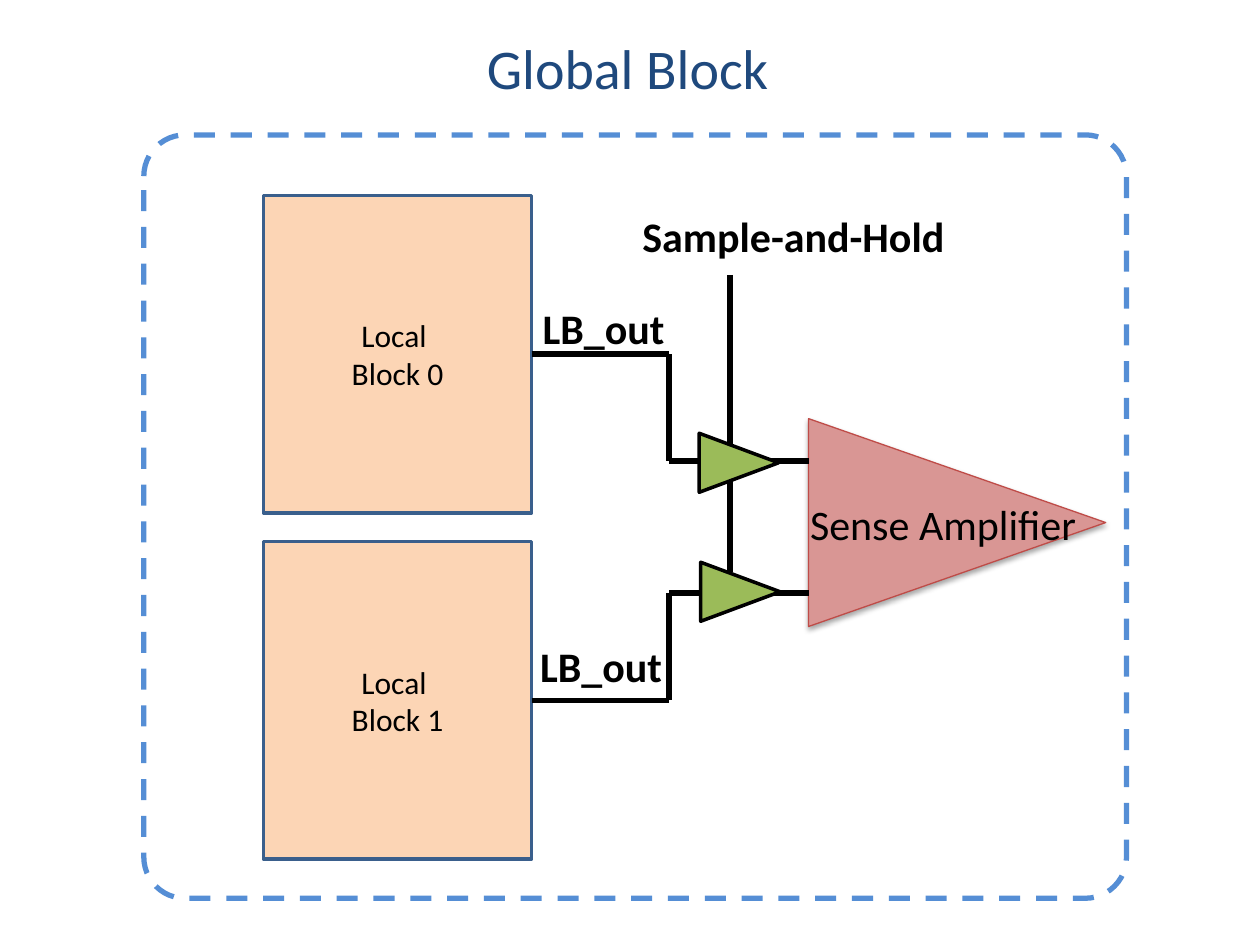
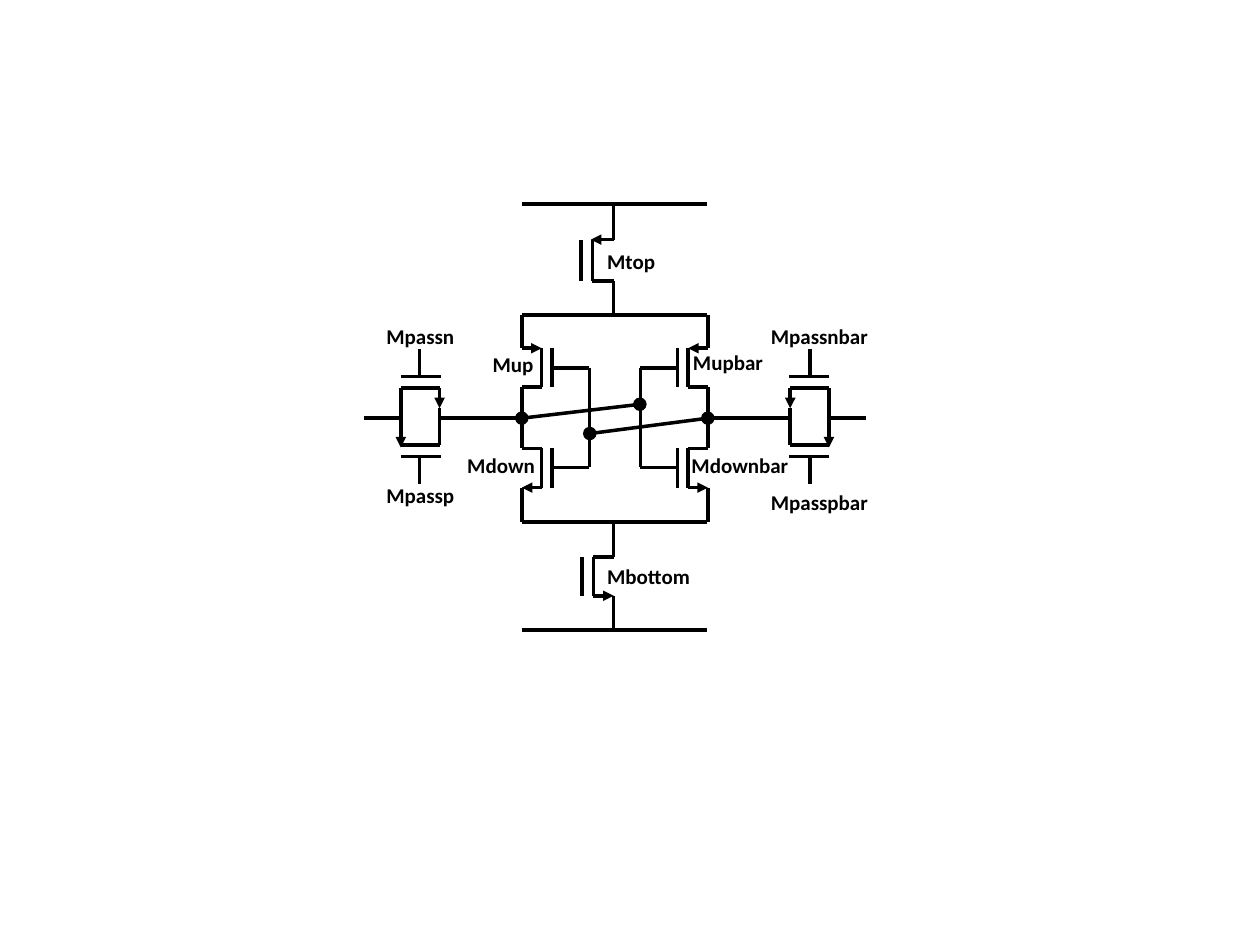
from itertools import pairwise

from lxml import etree
from pptx import Presentation
from pptx import util as u
from pptx.dml.color import RGBColor
from pptx.enum import dml, shapes, text
from pptx.oxml import parse_xml
from pptx.oxml.ns import nsdecls, qn

BLACK = "000000"
KIND = shapes.MSO_SHAPE
CENTER = text.PP_ALIGN.CENTER
LEFT = text.PP_ALIGN.LEFT
MIDDLE = text.MSO_ANCHOR.MIDDLE
TOP = text.MSO_ANCHOR.TOP


def color(value):
    return RGBColor.from_string(value)


def apply(target, values):
    for name, value in values.items():
        setattr(target, name, value)


def lengths(*values):
    return [u.Cm(value) for value in values]


class Drawing:
    font = "Calibri"
    title_style = {"size": 32, "ink": "1F497D", "align": CENTER, "anchor": MIDDLE, "wrap": False}

    def __init__(self, deck, wire_width):
        self.deck = deck
        self.wire_width = wire_width
        self.page = None

    def new_page(self, layout):
        self.page = self.deck.slides.add_slide(self.deck.slide_layouts[layout])

    def fill_text(self, box, lines, size, ink=BLACK, bold=False, align=LEFT, anchor=TOP, wrap=True):
        frame = box.text_frame
        apply(frame, {"word_wrap": wrap, "vertical_anchor": anchor,
                      "auto_size": text.MSO_AUTO_SIZE.NONE})
        para = frame.paragraphs[0]
        para.alignment = align
        for index, line in enumerate(lines):
            if index:
                para.add_line_break()
            span = para.add_run()
            span.text = line
            apply(span.font, {"name": self.font, "size": u.Pt(size), "bold": bold})
            span.font.color.rgb = color(ink)

    def title(self, words, left, top, width, height):
        box = self.page.shapes.title
        places = lengths(left, top, width, height)
        apply(box, dict(zip(("left", "top", "width", "height"), places)))
        self.fill_text(box, [words], **self.title_style)

    def label(self, words, left, top, width, height, size, bold=True):
        box = self.page.shapes.add_textbox(*lengths(left, top, width, height))
        self.fill_text(box, [words], size, bold=bold, wrap=False)

    def shape(self, kind, place, fill, line, width, turn=0):
        shape = self.page.shapes.add_shape(kind, *lengths(*place))
        shape.shadow.inherit = False
        shape.rotation = turn
        if fill:
            shape.fill.solid()
            shape.fill.fore_color.rgb = color(fill)
        else:
            shape.fill.background()
        shape.line.color.rgb = color(line)
        shape.line.width = u.Pt(width)
        return shape

    def soft_shadow(self, shape):
        effects = shape._element.spPr.find(qn("a:effectLst"))
        effects.append(parse_xml(
            f'<a:outerShdw {nsdecls("a")} blurRad="{u.Pt(3.1)}" dist="{u.Pt(1.8)}" '
            'dir="5400000" rotWithShape="0"><a:srgbClr val="000000">'
            '<a:alpha val="35000"/></a:srgbClr></a:outerShdw>'))

    def dot(self, x, y, size=0.2):
        place = (x - size / 2, y - size / 2, size, size)
        self.shape(KIND.OVAL, place, BLACK, BLACK, 2)

    def wire(self, *points, arrow=False, source=None):
        for start, end in pairwise(points):
            line = self.page.shapes.add_connector(
                shapes.MSO_CONNECTOR.STRAIGHT, *lengths(*start, *end))
            line.line.color.rgb = color(BLACK)
            line.line.width = u.Pt(self.wire_width)
            etree.SubElement(line._element.spPr, qn("a:effectLst"))
            if source is not None and start == points[0]:
                line.begin_connect(source, 3)
        if arrow:
            outline = line._element.spPr.find(qn("a:ln"))
            etree.SubElement(outline, qn("a:tailEnd"), type="triangle")


def draw_global_block(deck):
    drawing = Drawing(deck, 3.25)
    drawing.new_page(5)
    drawing.title("Global Block", 9.53, 0.53, 6.25, 1.63)
    drawing.wire((14.71, 5.54), (14.71, 11.53))

    blocks = []
    for number, top in enumerate((3.94, 10.92)):
        block = drawing.shape(KIND.RECTANGLE, (5.31, top, 5.41, 6.4), "FCD5B5", "3A5F8C", 2)
        drawing.fill_text(block, ["Local ", f"Block {number}"], 18, align=CENTER, anchor=MIDDLE)
        blocks.append(block)

    amplifier = drawing.shape(KIND.ISOSCELES_TRIANGLE, (17.2, 7.54, 4.19, 5.99),
                              "D99694", "BF4C48", 0.75, 90)
    drawing.soft_shadow(amplifier)
    drawing.label("Sense Amplifier", 16.08, 9.93, 5.94, 1.27, 24, bold=False)

    frame = drawing.shape(KIND.ROUNDED_RECTANGLE, (2.9, 2.72, 19.81, 15.39), None, "558ED5", 3)
    frame.adjustments[0] = 0.054
    frame.line.dash_style = dml.MSO_LINE.DASH

    for block, out_y, input_y in zip(blocks, (7.14, 14.12), (9.3, 11.96)):
        drawing.wire((10.72, out_y), (13.49, out_y), (13.49, input_y), (16.31, input_y),
                     source=block)
    for left, top in ((14.3, 8.53), (14.33, 11.13)):
        drawing.shape(KIND.ISOSCELES_TRIANGLE, (left, top, 1.19, 1.6), "9BBB59", BLACK, 2, 90)
    for words, left, top, width in (("LB_out", 10.69, 5.97, 3), ("LB_out", 10.64, 12.78, 3),
                                    ("Sample-and-Hold", 12.7, 4.11, 6.65)):
        drawing.label(words, left, top, width, 1.27, 24)


def draw_half_latch(drawing, mirrored):
    def wire(*points, arrow=False):
        if mirrored:
            points = [(24.79 - x, y) for x, y in points]
        drawing.wire(*points, arrow=arrow)

    wire((10.52, 6.35), (10.52, 7.02), (10.92, 7.02), arrow=True)
    wire((10.92, 7.02), (10.92, 7.8), (10.52, 7.8), (10.52, 9.04), (10.92, 9.04), (10.92, 9.83))
    wire((10.92, 9.83), (10.52, 9.83), arrow=True)
    wire((10.52, 9.83), (10.52, 10.52))
    for gate_top in (7.02, 9.04):
        wire((11.13, gate_top), (11.13, gate_top + 0.79))
    wire((11.13, 7.42), (11.88, 7.42), (11.88, 9.42), (11.13, 9.42))

    wire((10.52, 8.43), (8.86, 8.43))
    wire((8.08, 8.43), (7.34, 8.43))
    wire((8.08, 7.82), (8.86, 7.82), (8.86, 8.23), arrow=True)
    wire((8.86, 8.23), (8.86, 8.97), (8.08, 8.97))
    wire((8.08, 7.82), (8.08, 9.02), arrow=True)
    for gate_y, stem_y in ((7.59, 7.04), (9.2, 9.75)):
        wire((8.08, gate_y), (8.88, gate_y))
        wire((8.46, gate_y), (8.46, stem_y))


def draw_sense_amplifier(deck):
    drawing = Drawing(deck, 2)
    drawing.new_page(6)
    for mirrored in (False, True):
        draw_half_latch(drawing, mirrored)
    for rail_y in (4.11, 6.35, 10.52, 12.7):
        drawing.wire((10.52, rail_y), (14.25, rail_y))

    drawing.wire((12.37, 4.11), (12.37, 4.83), (11.91, 4.83), arrow=True)
    drawing.wire((11.94, 4.83), (11.94, 5.66), (12.37, 5.66), (12.37, 6.35))
    drawing.wire((11.71, 4.83), (11.71, 5.66))
    drawing.wire((12.37, 10.52), (12.37, 11.23), (11.96, 11.23), (11.96, 12.01),
                 (12.37, 12.01), arrow=True)
    drawing.wire((12.37, 12.01), (12.37, 12.7))
    drawing.wire((11.73, 11.23), (11.73, 12.01))

    crossings = (((11.89, 8.74), (14.27, 8.43)), ((10.52, 8.43), (12.9, 8.15)))
    for start, end in crossings:
        drawing.wire(start, end)
        drawing.dot(*start)
        drawing.dot(*end)

    labels = (
        ("Mtop", 11.99, 4.88, 1.5),
        ("Mup", 9.68, 6.96, 1.35),
        ("Mupbar", 13.72, 6.93, 1.93),
        ("Mdown", 9.17, 8.99, 1.91),
        ("Mdownbar", 13.69, 8.99, 2.49),
        ("Mbottom", 11.99, 11.23, 2.21),
        ("Mpassn", 7.54, 6.4, 1.91),
        ("Mpassp", 7.54, 9.6, 1.91),
        ("Mpassnbar", 15.29, 6.4, 2.49),
        ("Mpasspbar", 15.29, 9.75, 2.49),
    )
    for words, left, top, width in labels:
        drawing.label(words, left, top, width, 0.76, 12)


def main():
    deck = Presentation()
    apply(deck, {"slide_width": u.Cm(25.4), "slide_height": u.Cm(19.05)})
    draw_global_block(deck)
    draw_sense_amplifier(deck)
    deck.save("out.pptx")


if __name__ == "__main__":
    main()
